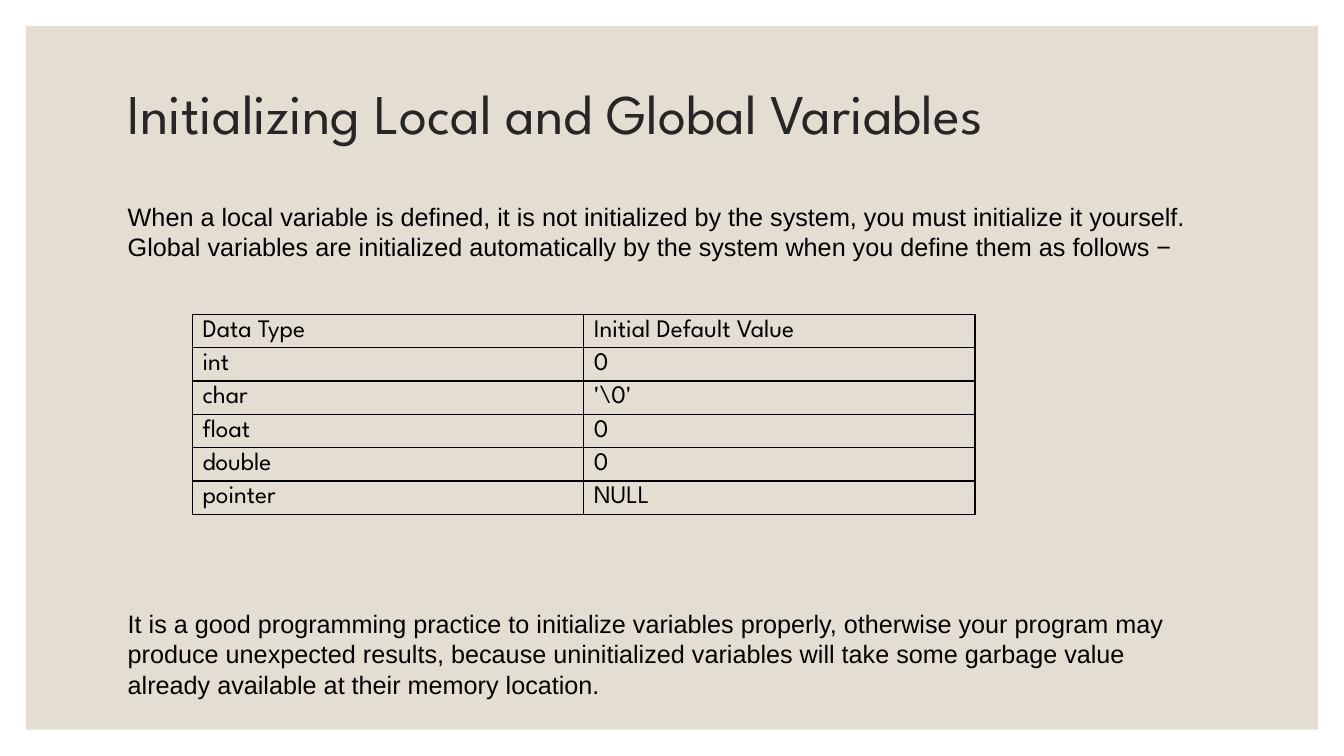
from dataclasses import dataclass

from lxml import etree
from pptx import Presentation
from pptx.dml.color import RGBColor
from pptx.enum.shapes import MSO_SHAPE
from pptx.enum.text import MSO_ANCHOR, MSO_AUTO_SIZE, PP_ALIGN
from pptx.oxml.ns import qn
from pptx.util import Cm, Pt

RECTANGLE = MSO_SHAPE.RECTANGLE
TOP, MIDDLE = MSO_ANCHOR.TOP, MSO_ANCHOR.MIDDLE
NO_AUTOFIT = MSO_AUTO_SIZE.NONE
LEFT = PP_ALIGN.LEFT
TITLE_ONLY = 5

HEADING_FONT, BODY_FONT = "League Spartan", "Arial"
WHITE, SAND, CHARCOAL, BLACK = "FFFFFF", "E3DED1", "262626", "000000"
TEXT_LEFT = 2.97
COLUMN_WIDTH, ROW_HEIGHT = 9.86, 0.84
BORDER_WIDTH = Pt(1)


@dataclass
class Note:
    text: str
    top: float
    width: float
    height: float
    anchor: MSO_ANCHOR


NOTES = [
    Note("When a local variable is defined, it is not initialized by the system, "
         "you must initialize it yourself. Global variables are initialized "
         "automatically by the system when you define them as follows −",
         4.95, 27.94, 1.78, MIDDLE),
    Note("It is a good programming practice to initialize variables properly, "
         "otherwise your program may produce unexpected results, because "
         "uninitialized variables will take some garbage value already available "
         "at their memory location.",
         15.21, 27.33, 2.54, TOP),
]

DEFAULT_VALUES = [
    ("Data Type", "Initial Default Value"),
    ("int", "0"),
    ("char", "'\\0'"),
    ("float", "0"),
    ("double", "0"),
    ("pointer", "NULL"),
]


def rgb(color: str) -> RGBColor:
    return RGBColor.from_string(color)


def write(text_frame, text: str, font_name: str, size: float, color: str) -> None:
    paragraph = text_frame.paragraphs[0]
    paragraph.text = text
    paragraph.alignment = LEFT
    paragraph.font.name = font_name
    paragraph.font.size = Pt(size)
    paragraph.font.color.rgb = rgb(color)


def add_note(slide, note: Note) -> None:
    box = slide.shapes.add_textbox(Cm(TEXT_LEFT), Cm(note.top),
                                   Cm(note.width), Cm(note.height))
    text_frame = box.text_frame
    text_frame.word_wrap = True
    text_frame.vertical_anchor = note.anchor
    write(text_frame, note.text, BODY_FONT, 18, BLACK)


def add_borders(cell, color: str) -> None:
    properties = cell._tc.get_or_add_tcPr()
    for position, side in enumerate(("lnL", "lnR", "lnT", "lnB")):
        line = etree.Element(qn(f"a:{side}"), w=str(BORDER_WIDTH))
        fill = etree.SubElement(line, qn("a:solidFill"))
        etree.SubElement(fill, qn("a:srgbClr"), val=color)
        properties.insert(position, line)


def add_value_table(slide, rows: list[tuple[str, str]]) -> None:
    columns = len(rows[0])
    table = slide.shapes.add_table(
        len(rows), columns, Cm(4.85), Cm(7.92),
        Cm(COLUMN_WIDTH * columns), Cm(ROW_HEIGHT * len(rows))).table
    table.first_row = False
    table.horz_banding = False
    for row_index, row in enumerate(rows):
        for column_index, text in enumerate(row):
            cell = table.cell(row_index, column_index)
            cell.fill.background()
            add_borders(cell, BLACK)
            write(cell.text_frame, text, HEADING_FONT, 18, BLACK)


presentation = Presentation()
presentation.slide_width, presentation.slide_height = Cm(33.87), Cm(19.05)
slide = presentation.slides.add_slide(presentation.slide_layouts[TITLE_ONLY])

# Background with a sand panel behind everything
slide.background.fill.solid()
slide.background.fill.fore_color.rgb = rgb(WHITE)
panel = slide.shapes.add_shape(RECTANGLE, Cm(0.66), Cm(0.66), Cm(32.56), Cm(17.73))
panel.shadow.inherit = False
panel.fill.solid()
panel.fill.fore_color.rgb = rgb(SAND)
panel.line.fill.background()
slide.shapes._spTree.insert(2, panel._element)

# Title
title = slide.shapes.title
title.left, title.top = Cm(TEXT_LEFT), Cm(1.78)
title.width, title.height = Cm(27.94), Cm(2.31)
title.text_frame.auto_size = NO_AUTOFIT
title.text_frame.vertical_anchor = MIDDLE
write(title.text_frame, "Initializing Local and Global Variables",
      HEADING_FONT, 40, CHARCOAL)
title.text_frame.paragraphs[0].line_spacing = 0.9

# Table and explanations
add_value_table(slide, DEFAULT_VALUES)
for note in NOTES:
    add_note(slide, note)

presentation.save("out.pptx")
